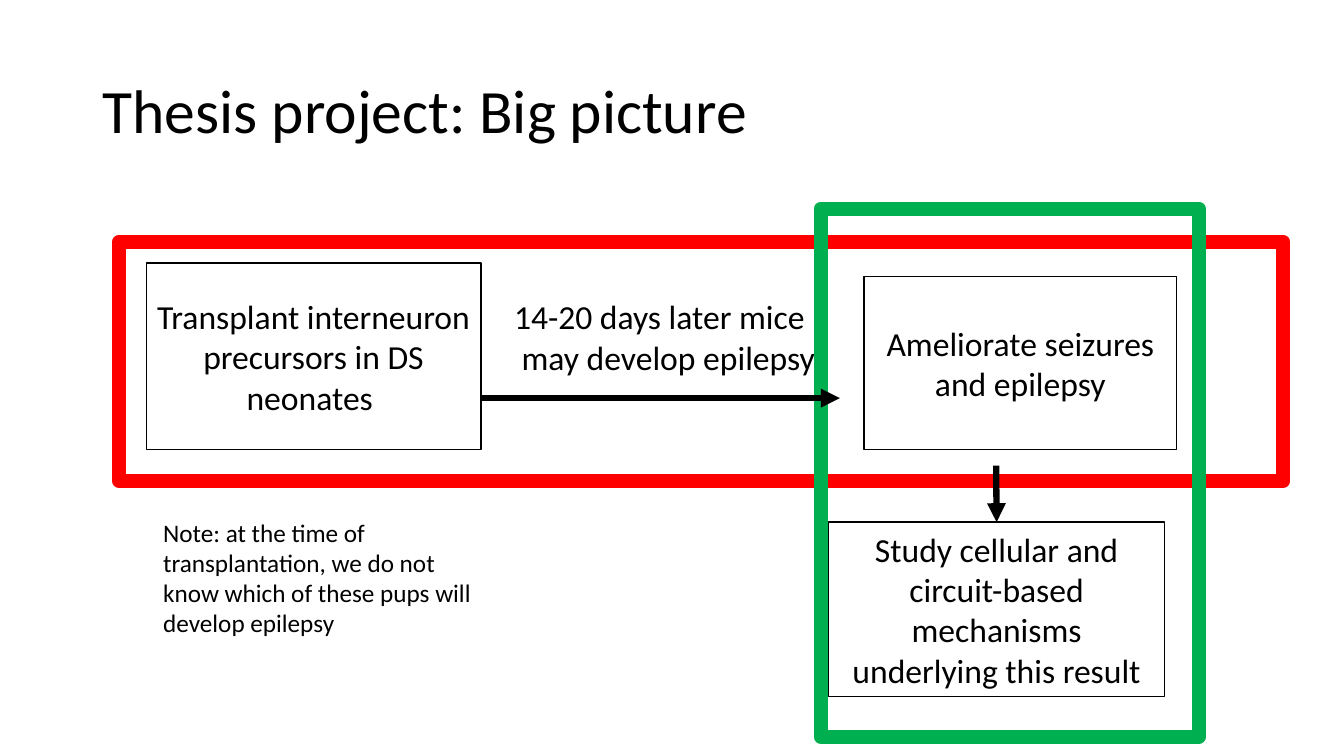
"""Build the thesis project overview slide."""
from dataclasses import dataclass
from typing import Optional

import lxml.etree
import pptx
import pptx.dml.color
import pptx.enum.shapes
import pptx.enum.text
import pptx.oxml.ns
import pptx.shapes.autoshape
import pptx.shapes.connector
import pptx.slide
import pptx.util

BLACK = pptx.dml.color.RGBColor(0x00, 0x00, 0x00)
RED = pptx.dml.color.RGBColor(0xFF, 0x00, 0x00)
GREEN = pptx.dml.color.RGBColor(0x00, 0xB0, 0x50)
FONT = "Calibri"
Inches = pptx.util.Inches
Align = pptx.enum.text.PP_ALIGN
Anchor = pptx.enum.text.MSO_ANCHOR


@dataclass(frozen=True)
class Area:
    left: float
    top: float
    width: float
    height: float

    def lengths(self) -> tuple[int, ...]:
        return tuple(Inches(value) for value in (self.left, self.top, self.width, self.height))


@dataclass(frozen=True)
class Label:
    area: Area
    lines: tuple[str, ...]
    size: float
    anchor: Anchor = Anchor.TOP
    spacing: float = 1.0


@dataclass(frozen=True)
class Outline:
    area: Area
    color: pptx.dml.color.RGBColor = BLACK
    weight: float = 1
    text: str = ""


@dataclass(frozen=True)
class Arrow:
    start: tuple[float, float]
    end: tuple[float, float]
    target: Optional[int] = None


LABELS = (
    Label(Area(0.92, 0.4, 11.5, 1.45), ("Thesis project: Big picture",), 44, Anchor.MIDDLE, 0.9),
    Label(Area(5, 2.89, 3.33, 1.72), ("14-20 days later mice", " may develop epilepsy"), 24),
    Label(
        Area(1.52, 5.08, 3.37, 1.31),
        ("Note: at the time of transplantation, we do not know which of these pups will develop epilepsy",),
        18,
    ),
)
OUTLINES = (
    Outline(Area(1.45, 2.61, 3.32, 1.85), text="Transplant interneuron precursors in DS neonates "),
    Outline(Area(8.57, 2.74, 3.1, 1.72), text="Ameliorate seizures and epilepsy"),
    Outline(
        Area(8.22, 5.18, 3.33, 1.73),
        text="Study cellular and circuit-based mechanisms underlying this result",
    ),
    Outline(Area(1.18, 2.4, 11.55, 2.37), RED, 10),
    Outline(Area(8.14, 2.07, 3.75, 5.24), GREEN, 10),
)
ARROWS = (
    Arrow((9.88, 4.62), (9.88, 5.18), target=2),
    Arrow((4.77, 3.95), (8.33, 3.95)),
)


def style_paragraph(para: pptx.text.text._Paragraph, text: str, size: float, align: Align) -> None:
    para.text = text
    para.alignment = align
    para.font.name = FONT
    para.font.size = pptx.util.Pt(size)
    para.font.color.rgb = BLACK


def add_label(page: pptx.slide.Slide, label: Label) -> None:
    frame = page.shapes.add_textbox(*label.area.lengths()).text_frame
    frame.word_wrap = True
    frame.vertical_anchor = label.anchor
    for index, line in enumerate(label.lines):
        para = frame.add_paragraph() if index else frame.paragraphs[0]
        style_paragraph(para, line, label.size, Align.LEFT)
        para.line_spacing = label.spacing


def add_outline(page: pptx.slide.Slide, outline: Outline) -> pptx.shapes.autoshape.Shape:
    box = page.shapes.add_shape(
        pptx.enum.shapes.MSO_SHAPE.RECTANGLE, *outline.area.lengths()
    )
    box.shadow.inherit = False
    box.fill.background()
    box.line.color.rgb = outline.color
    box.line.width = pptx.util.Pt(outline.weight)
    if outline.text:
        box.text_frame.word_wrap = True
        box.text_frame.vertical_anchor = Anchor.MIDDLE
        style_paragraph(box.text_frame.paragraphs[0], outline.text, 24, Align.CENTER)
    return box


def add_arrow(
    page: pptx.slide.Slide, arrow: Arrow, boxes: list[pptx.shapes.autoshape.Shape]
) -> None:
    points = (Inches(value) for value in arrow.start + arrow.end)
    connector = page.shapes.add_connector(pptx.enum.shapes.MSO_CONNECTOR.STRAIGHT, *points)
    if arrow.target is not None:
        connector.end_connect(boxes[arrow.target], 0)
    connector.line.color.rgb = BLACK
    connector.line.width = pptx.util.Pt(4.5)
    qn = pptx.oxml.ns.qn
    properties = connector._element.spPr
    lxml.etree.SubElement(properties.find(qn("a:ln")), qn("a:tailEnd"), type="triangle")
    lxml.etree.SubElement(properties, qn("a:effectLst"))


def main() -> None:
    deck = pptx.Presentation()
    deck.slide_width = Inches(13.33)
    deck.slide_height = Inches(7.5)
    page = deck.slides.add_slide(deck.slide_layouts[6])
    for label in LABELS:
        add_label(page, label)
    boxes = [add_outline(page, outline) for outline in OUTLINES]
    for arrow in ARROWS:
        add_arrow(page, arrow, boxes)
    deck.save("out.pptx")


if __name__ == "__main__":
    main()
